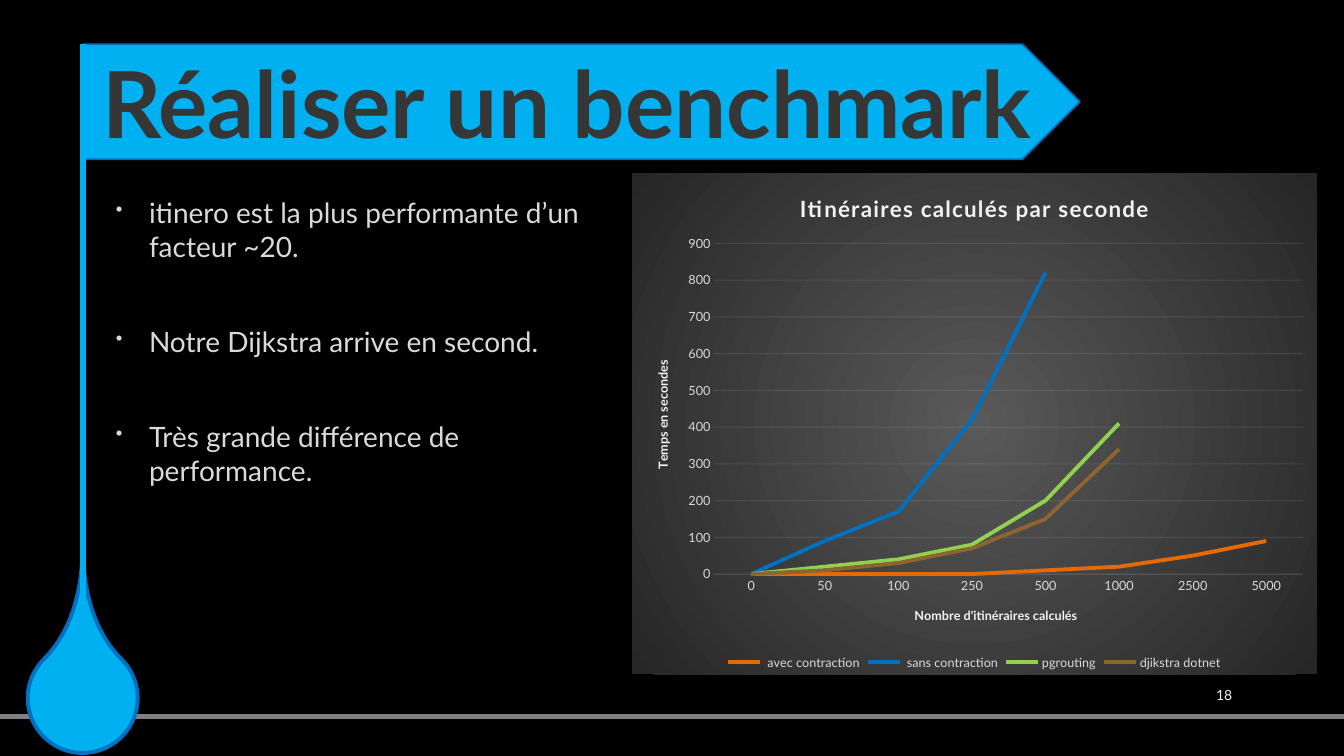
from lxml import etree
from pptx import Presentation
from pptx.chart.data import CategoryChartData
from pptx.dml.color import RGBColor
from pptx.enum.chart import XL_CHART_TYPE, XL_LEGEND_POSITION, XL_TICK_MARK
from pptx.enum.shapes import MSO_CONNECTOR, MSO_SHAPE
from pptx.enum.text import MSO_ANCHOR, PP_ALIGN
from pptx.oxml import parse_xml
from pptx.oxml.ns import nsdecls, qn
from pptx.util import Inches, Pt

LINE_CHART, BOTTOM = XL_CHART_TYPE.LINE, XL_LEGEND_POSITION.BOTTOM
NO_TICK = XL_TICK_MARK.NONE
STRAIGHT = MSO_CONNECTOR.STRAIGHT
TEAR, PENTAGON = MSO_SHAPE.TEAR, MSO_SHAPE.PENTAGON
LEFT, CENTER, RIGHT = PP_ALIGN.LEFT, PP_ALIGN.CENTER, PP_ALIGN.RIGHT
TOP, MIDDLE = MSO_ANCHOR.TOP, MSO_ANCHOR.MIDDLE
WIDTH, HEIGHT = 13.33, 7.5
FONT = "Lato"
COLORS = {
    "background": "000000", "rule": "808080", "accent": "00B0F0",
    "outline": "0070C0", "title": "363636", "body": "DADADA",
    "pale": "F2F2F2", "label": "D9D9D9", "center": "595959", "edge": "262626",
    "orange": "E56A05", "blue": "0070C0", "green": "92D050", "brown": "8C6530",
}
BULLETS = [
    "itinero est la plus performante d’un facteur ~20.",
    "Notre Dijkstra arrive en second.",
    "Très grande différence de performance.",
]
ROUTE_COUNTS = ["0", "50", "100", "250", "500", "1000", "2500", "5000"]
SERIES = [
    (" avec contraction", "orange", [0, 0, 0, 0, 10, 20, 50, 90]),
    (" sans contraction", "blue", [0, 90, 170, 420, 820, None, None, None]),
    ("pgrouting", "green", [0, 20, 40, 80, 200, 410, None, None]),
    ("djikstra dotnet", "brown", [0, 10, 30, 70, 150, 340, None, None]),
]


def rgb(name):
    return RGBColor.from_string(COLORS[name])


def set_font(font, size, color, bold=False):
    font.name, font.size, font.bold = FONT, Pt(size), bold
    font.color.rgb = rgb(color)


def set_line(line, color, width, opacity=None):
    line.color.rgb = rgb(color)
    line.width = Pt(width)
    if opacity:
        for element in line._get_or_add_ln().iter(qn("a:srgbClr")):
            etree.SubElement(element, qn("a:alpha"), val=str(opacity * 1000))


def write_text(frame, texts, size, color, bold=False, align=LEFT, anchor=TOP,
               wrap=True, gap=0, bullet=None):
    frame.word_wrap, frame.vertical_anchor = wrap, anchor
    for index, text in enumerate(texts):
        paragraph = frame.paragraphs[0] if index == 0 else frame.add_paragraph()
        paragraph.alignment = align
        paragraph.space_before = Pt(gap if index else 0)
        run = paragraph.add_run()
        run.text = text
        set_font(run.font, size, color, bold)
        if bullet:
            properties = paragraph._p.get_or_add_pPr()
            properties.set("marL", str(Inches(0.38)))
            properties.set("indent", str(Inches(-0.33)))
            etree.SubElement(properties, qn("a:buSzPct"), val="70000")
            etree.SubElement(properties, qn("a:buChar"), char=bullet)


def add_text(slide, box, texts, **text_format):
    shape = slide.shapes.add_textbox(*map(Inches, box))
    write_text(shape.text_frame, texts, **text_format)


def add_shape(slide, kind, box, width):
    shape = slide.shapes.add_shape(kind, *map(Inches, box))
    shape.shadow.inherit = False
    shape.fill.solid()
    shape.fill.fore_color.rgb = rgb("accent")
    set_line(shape.line, "outline", width)
    return shape


def add_line(slide, start, end, color, width):
    line = slide.shapes.add_connector(STRAIGHT, *map(Inches, (*start, *end)))
    set_line(line.line, color, width)
    etree.SubElement(line._element.spPr, qn("a:effectLst"))


def add_banner(slide, left, top, width, height):
    # Drop hanging from the stem
    drop_size = 1.09
    drop = add_shape(slide, TEAR,
                     (left - drop_size / 2, 6.38, drop_size, drop_size), 2.75)
    drop.adjustments[0] = 2
    drop.rotation = 315
    # Title arrow
    arrow = add_shape(slide, PENTAGON, (left, top, width, height), 1.25)
    write_text(arrow.text_frame, ["Réaliser un benchmark"], size=66, color="title",
               bold=True, align=CENTER, anchor=MIDDLE, wrap=False)
    # Stem
    add_line(slide, (left, 6.06), (left, top), "accent", 4.25)


def set_title(owner, text, size, spacing=0):
    frame = owner.text_frame
    write_text(frame, [text], size=size, color="pale", bold=True, align=CENTER)
    for run in frame.paragraphs[0].runs:
        run.font._element.set("spc", str(spacing))


def paint_chart_area(chart):
    space = chart._chartSpace
    space.find(qn("c:chart")).addnext(parse_xml(
        f'<c:spPr {nsdecls("c", "a")}><a:gradFill><a:gsLst>'
        f'<a:gs pos="0"><a:srgbClr val="{COLORS["center"]}"/></a:gs>'
        f'<a:gs pos="100000"><a:srgbClr val="{COLORS["edge"]}"/></a:gs></a:gsLst>'
        '<a:path path="circle"><a:fillToRect l="50000" t="50000" r="50000" b="50000"/>'
        '</a:path></a:gradFill><a:ln><a:noFill/></a:ln></c:spPr>'))


def place_plot(chart, **shares):
    plot_area = chart._chartSpace.find(".//" + qn("c:plotArea"))
    for layout in plot_area.findall(qn("c:layout")):
        plot_area.remove(layout)
    sizes = "".join(f'<c:{key} val="{share}"/>' for key, share in shares.items())
    plot_area.insert(0, parse_xml(
        f'<c:layout {nsdecls("c")}><c:manualLayout><c:layoutTarget val="inner"/>'
        f'<c:xMode val="edge"/><c:yMode val="edge"/>{sizes}'
        '</c:manualLayout></c:layout>'))


def add_benchmark_chart(slide, box):
    data = CategoryChartData()
    data.categories = ROUTE_COUNTS
    for name, _, values in SERIES:
        data.add_series(name, values)
    chart = slide.shapes.add_chart(LINE_CHART, *map(Inches, box), data).chart
    set_font(chart.font, 10, "label")
    paint_chart_area(chart)
    place_plot(chart, x=0.12, y=0.14, w=0.86, h=0.66)
    set_title(chart.chart_title, "Itinéraires calculés par seconde", 16, spacing=100)

    # Axes
    category_axis, value_axis = chart.category_axis, chart.value_axis
    for axis, title in ((category_axis, "Nombre d'itinéraires calculés"),
                        (value_axis, "Temps en secondes")):
        axis.major_tick_mark = axis.minor_tick_mark = NO_TICK
        set_font(axis.tick_labels.font, 9, "label")
        set_title(axis.axis_title, title, 9)
    set_line(category_axis.format.line, "pale", 0.75, opacity=10)
    value_axis.format.line.fill.background()
    value_axis.minimum_scale, value_axis.maximum_scale = 0, 900
    value_axis.major_unit = 100
    set_line(value_axis.major_gridlines.format.line, "pale", 0.75, opacity=10)

    # Legend and series
    chart.has_legend = True
    chart.legend.position = BOTTOM
    chart.legend.include_in_layout = False
    set_font(chart.legend.font, 9, "label")
    plot = chart.plots[0]
    plot.vary_by_categories = False
    for series, (_, color, _) in zip(plot.series, SERIES):
        series.smooth = False
        set_line(series.format.line, color, 2.75)


def main():
    presentation = Presentation()
    presentation.slide_width = Inches(WIDTH)
    presentation.slide_height = Inches(HEIGHT)
    slide = presentation.slides.add_slide(presentation.slide_layouts[6])
    slide.background.fill.solid()
    slide.background.fill.fore_color.rgb = rgb("background")

    # Footer rule, banner, findings and chart
    add_line(slide, (0, 7.11), (WIDTH, 7.11), "rule", 3.5)
    add_banner(slide, 0.82, 0.44, 9.89, 1.14)
    add_text(slide, (1, 1.89, 5.27, 3.89), BULLETS, size=20, color="body",
             gap=44, bullet="•")
    add_benchmark_chart(slide, (6.27, 1.72, 6.79, 4.97))
    # Page number, between the chart and the footer rule
    add_text(slide, (11.5, 6.69, 0.82, 0.4), ["18"], size=10, color="pale",
             align=RIGHT, anchor=MIDDLE)
    presentation.save("out.pptx")


if __name__ == "__main__":
    main()
